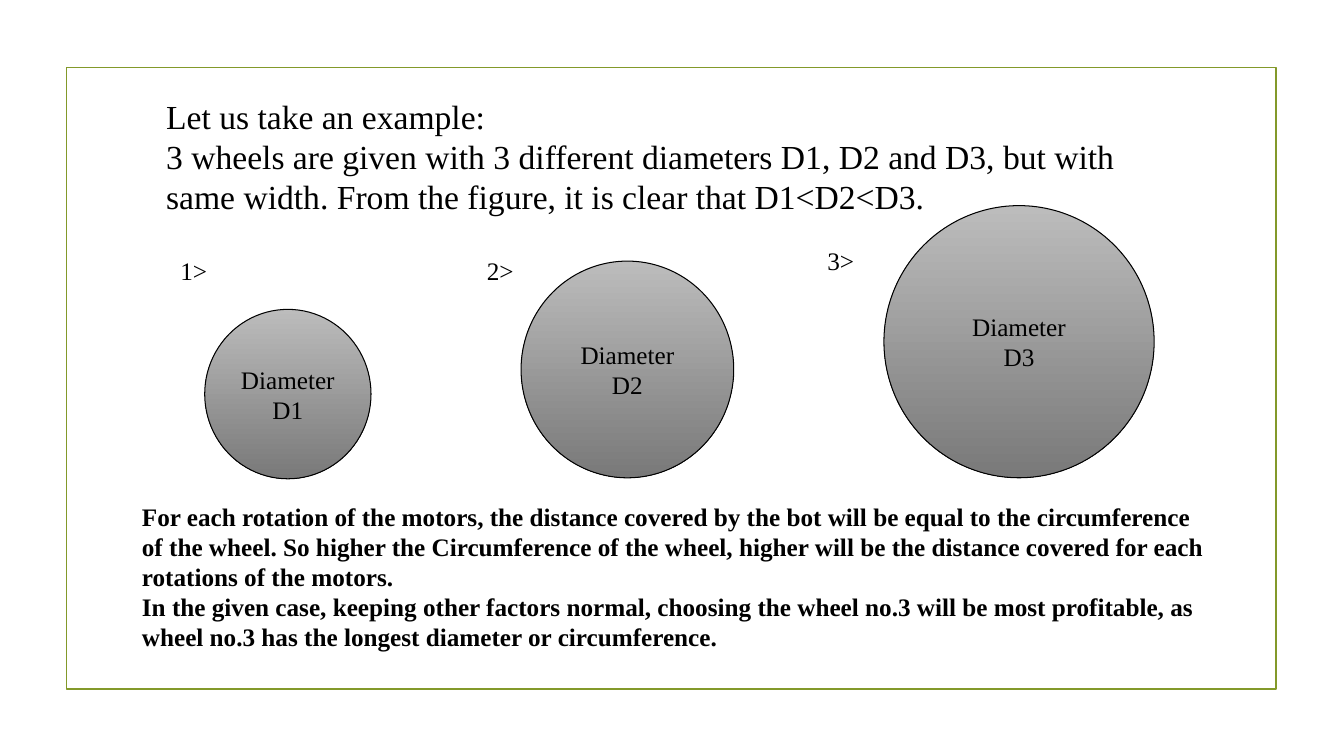
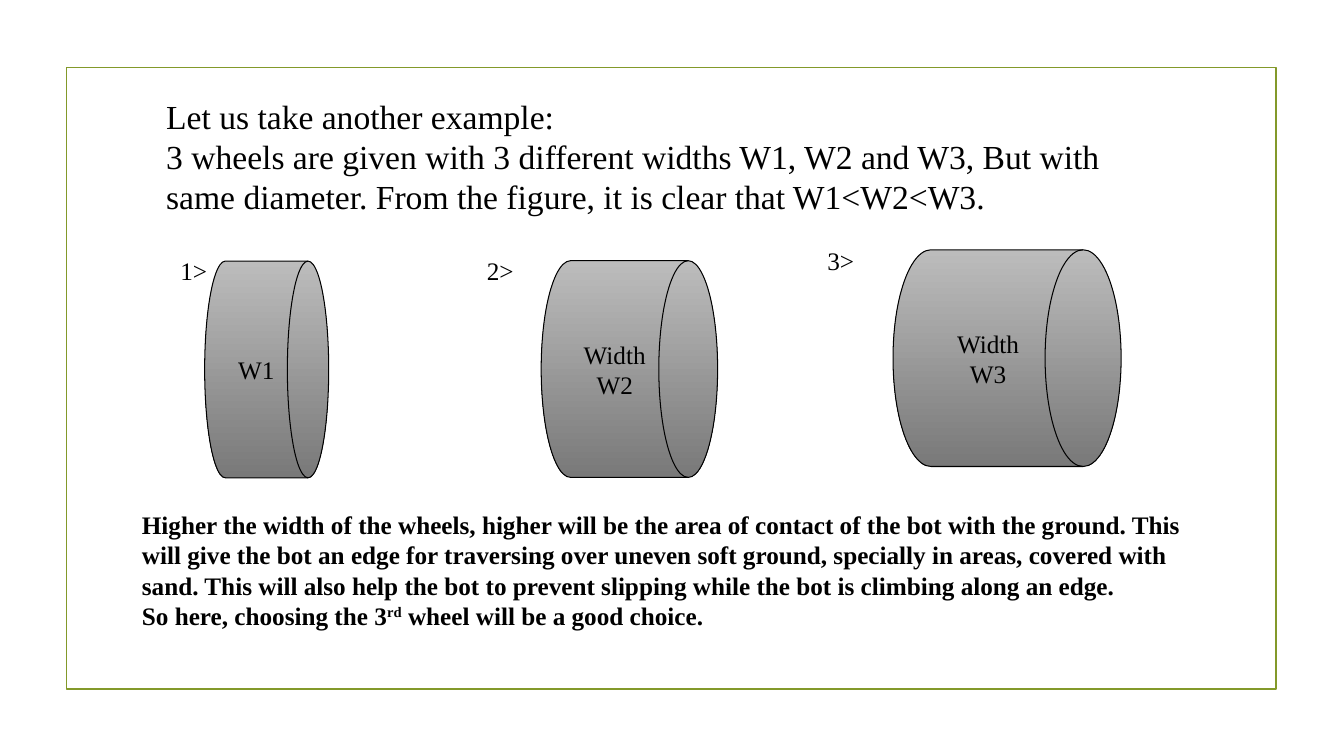
from pptx import Presentation
from pptx.dml.color import RGBColor
from pptx.enum.shapes import MSO_SHAPE
from pptx.enum.text import MSO_ANCHOR, MSO_AUTO_SIZE, PP_ALIGN
from pptx.util import Pt

RECT = MSO_SHAPE.RECTANGLE
DISC = MSO_SHAPE.OVAL
DRUM = MSO_SHAPE.FLOWCHART_DIRECT_ACCESS_STORAGE
CENTER, LEFT = PP_ALIGN.CENTER, PP_ALIGN.LEFT

FONT = "Times New Roman"
COLORS = {"frame": "83992A", "ink": "000000", "light": "BCBCBC", "dark": "797979"}
RGB = {name: RGBColor.from_string(value) for name, value in COLORS.items()}

# Left, top, width, height in points
FRAME = (47.5, 48.25, 864, 444)
INTRO = (111.6, 64.8, 702, 94.3)
NUMBERS = [(121.7, 178.6, 41.8, 28.8), (340.6, 178.6, 39.6, 28.8),
           (583.9, 171.4, 47.5, 28.8)]

SLIDES = [
    {
        "intro": ["Let us take an example:",
                  "3 wheels are given with 3 different diameters D1, D2 and D3, but with "
                  "same width. From the figure, it is clear that D1<D2<D3."],
        "shape": DISC,
        "wheels": [((146.2, 221, 118.8, 121), ["Diameter D1"]),
                   ((372.2, 186.5, 151.9, 154.8), ["Diameter", "D2"]),
                   ((631.4, 146.9, 193, 194.4), ["Diameter", "D3"])],
        "box": (94.3, 354.2, 777.6, 116.6),
        "conclusion": [
            "For each rotation of the motors, the distance covered by the bot will be "
            "equal to the circumference of the wheel. So higher the Circumference of the "
            "wheel, higher will be the distance covered for each rotations of the motors.",
            "In the given case, keeping other factors normal, choosing the wheel no.3 will "
            "be most profitable, as wheel no.3 has the longest diameter or circumference."],
    },
    {
        "intro": ["Let us take another example:",
                  "3 wheels are given with 3 different widths W1, W2 and W3, But with "
                  "same diameter. From the figure, it is clear that W1<W2<W3."],
        "shape": DRUM,
        "wheels": [((146.2, 186.5, 88.6, 154.8), ["W1"]),
                   ((386.6, 186.2, 126, 154.8), ["Width", "W2"]),
                   ((637.9, 178.4, 162.9, 154.8), ["Width", "W3"])],
        "box": (94.3, 360.3, 777.6, 94.3),
        "conclusion": [
            "Higher the width of the wheels, higher will be the area of contact of the bot "
            "with the ground. This will give the bot an edge for traversing over uneven "
            "soft ground, specially in areas, covered with sand. This will also help the "
            "bot to prevent slipping while the bot is climbing along an edge.",
            "So here, choosing the 3^rd^ wheel will be a good choice."],
    },
]


def write(tf, paragraphs, size=18, bold=False, align=LEFT):
    """Fill a text frame; text between carets is superscript."""
    tf.word_wrap = True
    for i, text in enumerate(paragraphs):
        p = tf.paragraphs[0] if i == 0 else tf.add_paragraph()
        p.alignment = align
        for j, part in enumerate(text.split("^")):
            r = p.add_run()
            r.text = part
            r.font.name = FONT
            r.font.size = Pt(size)
            r.font.bold = bold
            r.font.color.rgb = RGB["ink"]
            if j % 2:
                r._r.get_or_add_rPr().set("baseline", "30000")


def add_shape(s, kind, box, line, width):
    sp = s.shapes.add_shape(kind, *map(Pt, box))
    sp.shadow.inherit = False
    sp.line.color.rgb = RGB[line]
    sp.line.width = Pt(width)
    return sp


prs = Presentation()
prs.slide_width, prs.slide_height = Pt(960), Pt(540)

for content in SLIDES:
    s = prs.slides.add_slide(prs.slide_layouts[6])
    frame = add_shape(s, RECT, FRAME, "frame", 1.25)
    frame.fill.background()

    for box, label in content["wheels"]:
        wheel = add_shape(s, content["shape"], box, "ink", 0.75)
        wheel.fill.gradient()
        wheel.fill.gradient_angle = 270
        for stop, shade in zip(wheel.fill.gradient_stops, ("light", "dark")):
            stop.color.rgb = RGB[shade]
        wheel.text_frame.vertical_anchor = MSO_ANCHOR.MIDDLE
        write(wheel.text_frame, label, align=CENTER)

    texts = [(INTRO, content["intro"], 24, False),
             (content["box"], content["conclusion"], 18, True)]
    texts += [(box, [f"{n}>"], 18, False) for n, box in enumerate(NUMBERS, 1)]
    for box, paragraphs, size, bold in texts:
        tf = s.shapes.add_textbox(*map(Pt, box)).text_frame
        tf.auto_size = MSO_AUTO_SIZE.SHAPE_TO_FIT_TEXT
        write(tf, paragraphs, size, bold)

prs.save("out.pptx")
